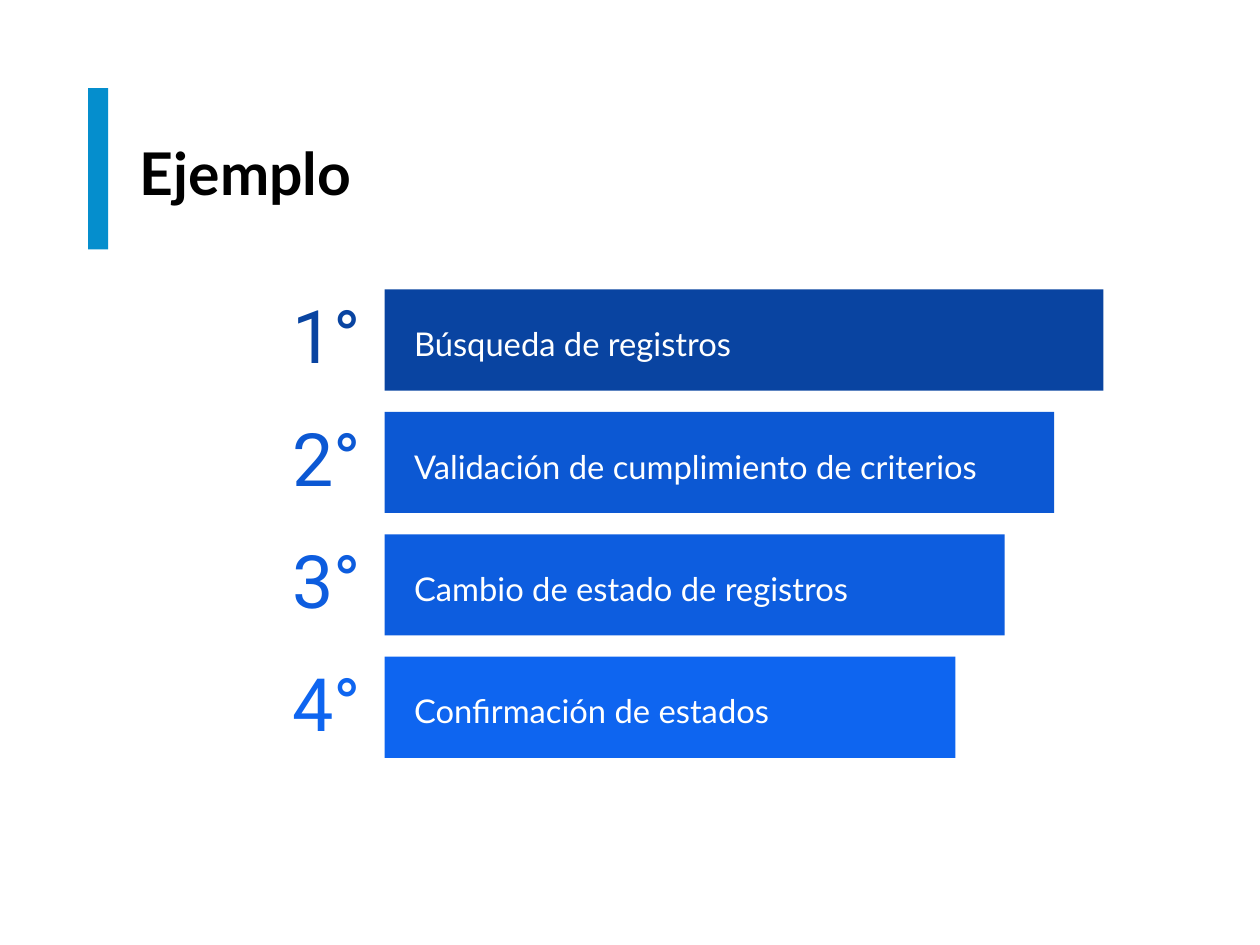
import pptx
import pptx.util
import pptx.dml.color
import pptx.enum.shapes
import pptx.enum.text

Inches = pptx.util.Inches
ALIGN = pptx.enum.text.PP_ALIGN

COLORS = {
    "accent": "058ECD",
    "title": "000000",
    "label": "FFFFFF",
    "step1": "0944A1",
    "step2": "0C58D3",
    "step3": "0D5DDF",
    "step4": "0E65F0",
}
STEPS = [
    "Búsqueda de registros",
    "Validación de cumplimiento de criterios",
    "Cambio de estado de registros",
    "Confirmación de estados",
]
BAR_LEFT, BAR_TOP, BAR_HEIGHT = 3.27, 2.46, 0.86
BAR_WIDTH, BAR_SHRINK = 6.11, 0.42
STEP_PITCH = 1.04


def rgb(name):
    return pptx.dml.color.RGBColor.from_string(COLORS[name])


class Deck:
    def __init__(self, width, height):
        self.prs = pptx.Presentation()
        self.prs.slide_width, self.prs.slide_height = Inches(width), Inches(height)
        self.s = self.prs.slides.add_slide(self.prs.slide_layouts[6])

    def group(self):
        return self.s.shapes.add_group_shape().shapes

    def bar(self, shapes, box, color):
        sp = shapes.add_shape(pptx.enum.shapes.MSO_SHAPE.RECTANGLE, *map(Inches, box))
        sp.shadow.inherit = False
        sp.fill.solid()
        sp.fill.fore_color.rgb = rgb(color)
        sp.line.fill.background()

    def text(self, shapes, box, text, color, font, paragraph=None, insets=(0.11, 0.05)):
        """Add vertically centred text; insets are (horizontal, vertical)."""
        tf = shapes.add_textbox(*map(Inches, box)).text_frame
        across, down = map(Inches, insets)
        frame = {
            "word_wrap": True,
            "vertical_anchor": pptx.enum.text.MSO_ANCHOR.MIDDLE,
            "margin_left": across, "margin_right": across,
            "margin_top": down, "margin_bottom": down,
        }
        p = tf.paragraphs[0]
        r = p.add_run()
        r.text = text
        for target, values in ((tf, frame), (p, paragraph or {}), (r.font, font)):
            for name, value in values.items():
                setattr(target, name, value)
        r.font.color.rgb = rgb(color)

    def step(self, index, label):
        """Add one numbered bar, narrower than the one above it."""
        shapes = self.group()
        color = f"step{index + 1}"
        top = BAR_TOP + index * STEP_PITCH
        width = BAR_WIDTH - index * BAR_SHRINK
        self.text(shapes, (1.2, top + 0.06, 1.98, 0.74), f"{index + 1}°", color,
                  {"name": "Roboto", "size": pptx.util.Pt(45)},
                  {"alignment": ALIGN.RIGHT, "line_spacing": 0.9})
        self.bar(shapes, (BAR_LEFT, top, width, BAR_HEIGHT), color)
        self.text(shapes, (BAR_LEFT + 0.14, top + 0.1, width - 0.55, 0.67), label, "label",
                  {"name": "Lato", "size": pptx.util.Pt(20)},
                  {"alignment": ALIGN.LEFT, "line_spacing": 1.15})


def main():
    deck = Deck(10.71, 8.03)
    shapes = deck.s.shapes
    deck.bar(shapes, (0.75, 0.75, 0.17, 1.37), "accent")
    deck.text(shapes, (1.19, 0.82, 8.77, 1.29), "Ejemplo", "title",
              {"name": "Lato", "size": pptx.util.Pt(36), "bold": True}, insets=(0, 0))
    for index, label in enumerate(STEPS):
        deck.step(index, label)
    deck.prs.save("out.pptx")


if __name__ == "__main__":
    main()
